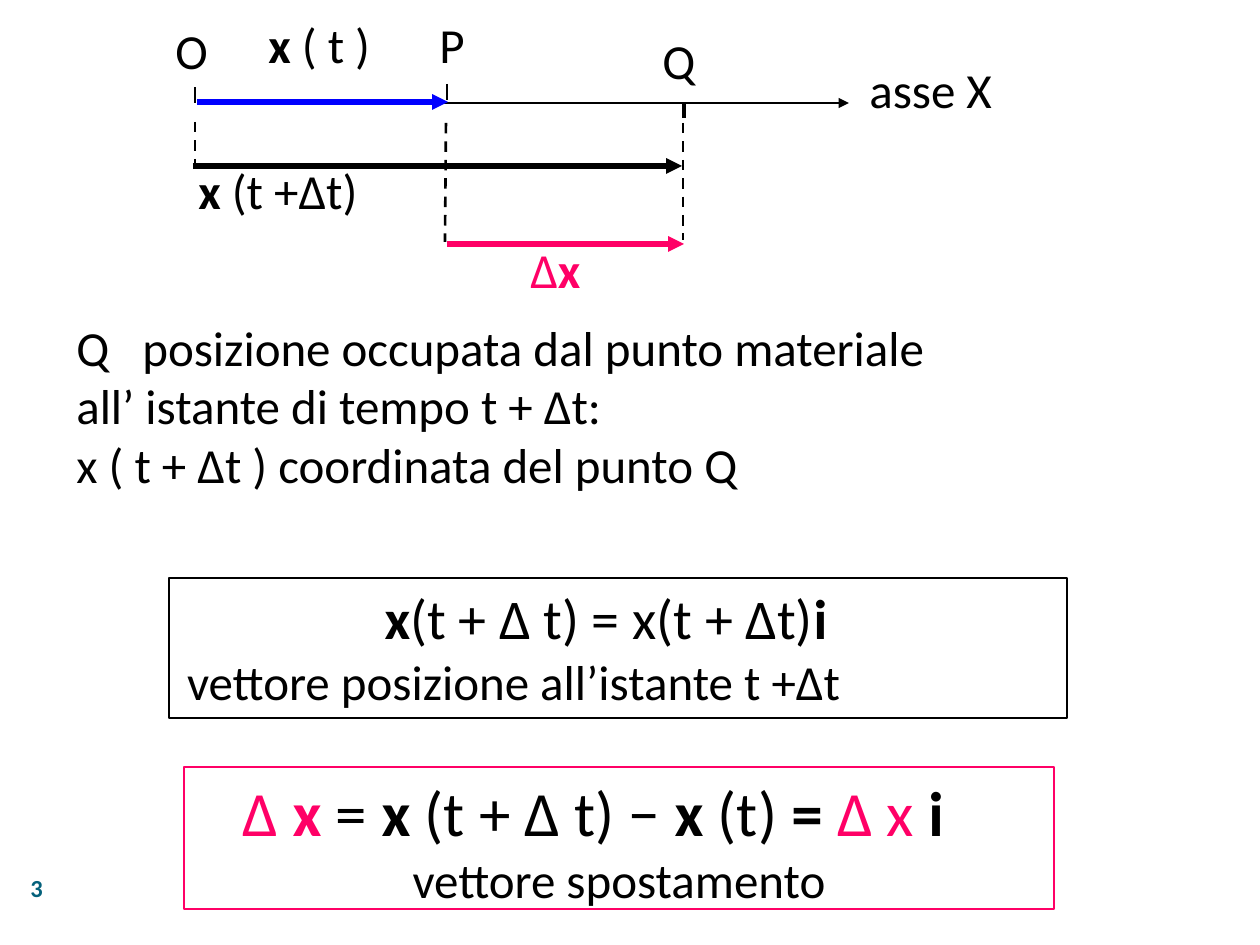
from dataclasses import dataclass

import pptx
import pptx.dml.color
import pptx.enum.dml
import pptx.enum.shapes
import pptx.enum.text
import pptx.oxml
import pptx.oxml.ns
import pptx.util

SCALE = 914400 / 126
FONT = "Calibri"
COLORS = {"black": "000000", "white": "FFFFFF", "pink": "FF0066",
          "blue": "0000FF", "teal": "04617B"}
ALIGN = pptx.enum.text.PP_ALIGN
ANCHOR = pptx.enum.text.MSO_ANCHOR


@dataclass
class Piece:
    text: str
    bold: bool = False
    color: str = "black"


@dataclass
class Line:
    pieces: list[Piece]
    size: int = 28
    align: ALIGN = ALIGN.LEFT
    indent: int = 0
    tab: int = 0


@dataclass
class Label:
    left: int
    top: int
    width: int
    height: int
    lines: list[Line]
    anchor: ANCHOR = ANCHOR.TOP


@dataclass
class Formula(Label):
    outline: str = "black"
    margins: tuple[int, int, int, int] = (13, 6, 13, 6)


@dataclass
class Segment:
    x1: int
    y1: int
    x2: int
    y2: int
    weight: float = 1.5
    color: str = "black"
    dashed: bool = False
    arrow: bool = False


def px(value: int) -> int:
    return round(value * SCALE)


def rgb(name: str) -> pptx.dml.color.RGBColor:
    return pptx.dml.color.RGBColor.from_string(COLORS[name])


def add_element(parent, xml: str) -> None:
    namespace = pptx.oxml.ns.nsdecls("a")
    parent.append(pptx.oxml.parse_xml(xml.replace("/>", f" {namespace}/>", 1)
                                      if xml.endswith("/>") and xml.count("<") == 1
                                      else xml.replace(">", f" {namespace}>", 1)))


def write_lines(frame, label: Label) -> None:
    frame.word_wrap = True
    frame.vertical_anchor = label.anchor
    for index, line in enumerate(label.lines):
        paragraph = frame.add_paragraph() if index else frame.paragraphs[0]
        paragraph.alignment = line.align
        properties = paragraph._p.get_or_add_pPr()
        if line.indent:
            properties.set("marL", str(px(line.indent)))
            properties.set("indent", "0")
        if line.tab:
            add_element(properties, f'<a:tabLst><a:tab pos="{px(line.tab)}" algn="l"/></a:tabLst>')
        paragraph.font.name = FONT
        paragraph.font.size = pptx.util.Pt(line.size)
        same_bold = len({piece.bold for piece in line.pieces}) == 1
        same_color = len({piece.color for piece in line.pieces}) == 1
        if same_bold:
            paragraph.font.bold = line.pieces[0].bold
        if same_color:
            paragraph.font.color.rgb = rgb(line.pieces[0].color)
        for piece in line.pieces:
            run = paragraph.add_run()
            run.text = piece.text
            if not same_bold:
                run.font.bold = piece.bold
            if not same_color:
                run.font.color.rgb = rgb(piece.color)


def draw_label(slide, label: Label) -> None:
    box = slide.shapes.add_textbox(px(label.left), px(label.top),
                                   px(label.width), px(label.height))
    write_lines(box.text_frame, label)


def draw_formula(slide, formula: Formula) -> None:
    box = slide.shapes.add_shape(pptx.enum.shapes.MSO_SHAPE.RECTANGLE,
                                 px(formula.left), px(formula.top),
                                 px(formula.width), px(formula.height))
    box.shadow.inherit = False
    box.fill.solid()
    box.fill.fore_color.rgb = rgb("white")
    box.line.color.rgb = rgb(formula.outline)
    box.line.width = pptx.util.Pt(0.75)
    frame = box.text_frame
    (frame.margin_left, frame.margin_top,
     frame.margin_right, frame.margin_bottom) = map(px, formula.margins)
    write_lines(frame, formula)


def draw_segment(slide, segment: Segment) -> None:
    connector = slide.shapes.add_connector(
        pptx.enum.shapes.MSO_CONNECTOR.STRAIGHT,
        px(segment.x1), px(segment.y1), px(segment.x2), px(segment.y2))
    connector.line.color.rgb = rgb(segment.color)
    connector.line.width = pptx.util.Pt(segment.weight)
    if segment.dashed:
        connector.line.dash_style = pptx.enum.dml.MSO_LINE.DASH
    if segment.arrow:
        add_element(connector.line._get_or_add_ln(), '<a:tailEnd type="triangle"/>')
    add_element(connector._element.spPr, "<a:effectLst/>")


O_X, P_X, Q_X = 195, 447, 684
AXIS_Y, POSITION_Y, SHIFT_Y = 103, 166, 244

formulas = [
    Formula(184, 767, 870, 142, [
        Line([Piece("Δ ", color="pink"), Piece("x", True, "pink"), Piece(" = "),
              Piece("x ", True), Piece("(t + Δ t) − "), Piece("x ", True),
              Piece("(t)"), Piece(" = ", True), Piece("Δ x ", color="pink"),
              Piece("i", True)], size=36, indent=46),
        Line([Piece("vettore spostamento")], align=ALIGN.CENTER),
    ], ANCHOR.MIDDLE, "pink", (13, 6, 13, 0)),
    Formula(169, 578, 898, 140, [
        Line([Piece("x", True), Piece("(t + Δ t) = x(t + Δt)"), Piece("i", True)],
             size=32, align=ALIGN.CENTER),
        Line([Piece("vettore posizione all’istante t +Δt")]),
    ], margins=(18, 6, 42, 6)),
]

segments = [
    Segment(P_X, SHIFT_Y, Q_X, SHIFT_Y, 3, "pink", arrow=True),
    Segment(446, 123, 445, 242, dashed=True),
    Segment(683, 123, 683, 240, dashed=True),
    Segment(193, POSITION_Y, 682, POSITION_Y, 3, arrow=True),
    Segment(O_X, 122, O_X, 169, dashed=True),
    Segment(Q_X, 118, Q_X, 102, 2.25),
    Segment(198, AXIS_Y, 849, AXIS_Y, arrow=True),
    Segment(P_X, 84, P_X, 100),
    Segment(197, 102, 448, 102, 3, "blue", arrow=True),
    Segment(O_X, AXIS_Y, O_X, 87),
]

labels = [
    Label(518, 233, 102, 88, [Line([Piece("Δ", color="pink"), Piece("x", True, "pink")])]),
    Label(186, 154, 301, 97, [Line([Piece("x", True), Piece(" (t +Δt)")])]),
    Label(64, 311, 1131, 190, [
        Line([Piece("Q\tposizione occupata dal punto materiale")], tab=66),
        Line([Piece("all’ istante di tempo t + Δt:")]),
        Line([Piece("x ( t + Δt ) coordinata del punto Q")]),
    ]),
    Label(650, 24, 93, 88, [Line([Piece("Q")])]),
    Label(857, 53, 263, 83, [Line([Piece("asse X")])]),
    Label(163, 14, 77, 63, [Line([Piece("O")])]),
    Label(427, 8, 71, 63, [Line([Piece("P")])]),
    Label(256, 8, 140, 97, [Line([Piece("x", True), Piece(" ( t )")])]),
    Label(0, 861, 73, 53, [Line([Piece("3", True, "teal")], 14, ALIGN.CENTER)],
          ANCHOR.MIDDLE),
]


def main() -> None:
    deck = pptx.Presentation()
    deck.slide_width = px(1260)
    deck.slide_height = px(945)
    slide = deck.slides.add_slide(deck.slide_layouts[6])
    for formula in formulas:
        draw_formula(slide, formula)
    for segment in segments:
        draw_segment(slide, segment)
    for label in labels:
        draw_label(slide, label)
    deck.save("out.pptx")


if __name__ == "__main__":
    main()
